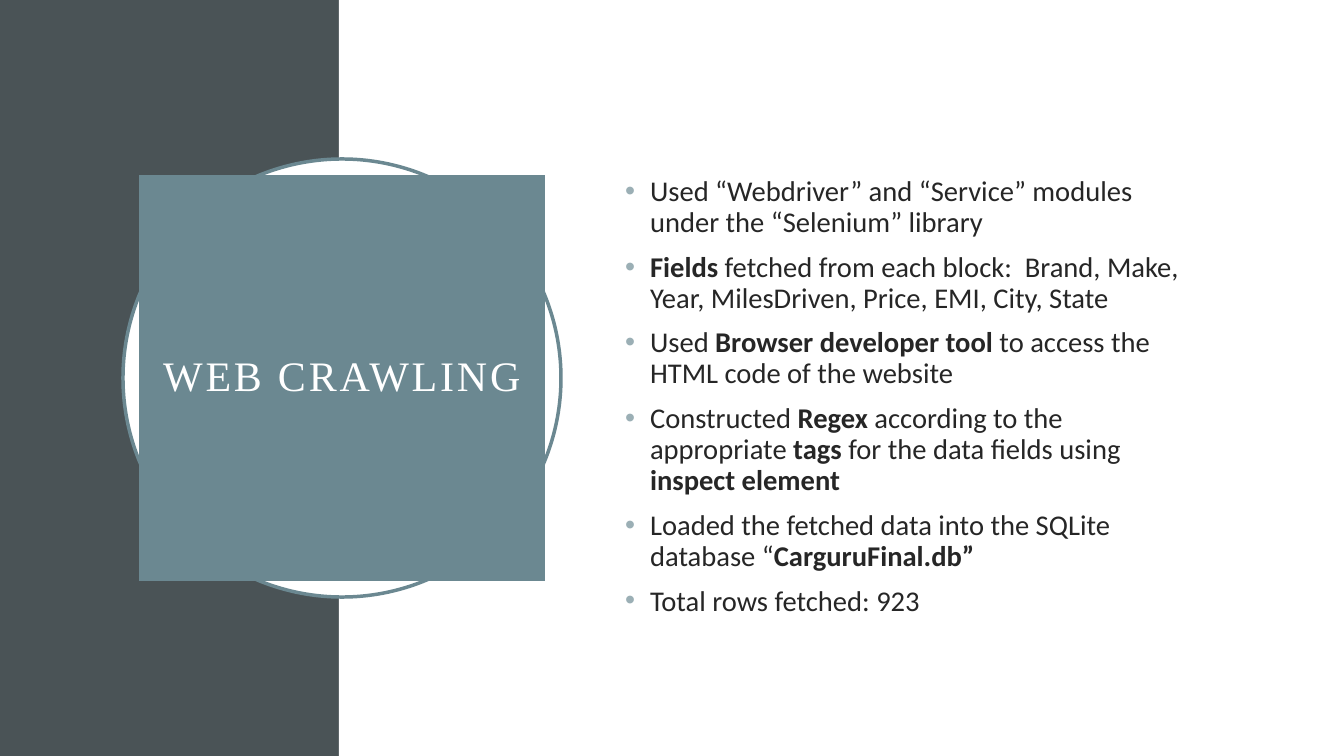
import dataclasses

import lxml.etree
import pptx
import pptx.dml.color
import pptx.enum.shapes
import pptx.enum.text
import pptx.oxml.ns
import pptx.util

EMU_PER_PX = 914400 / 100.8
SLIDE_WIDTH, SLIDE_HEIGHT = 1344, 756
BAND_WIDTH = 339
BULLET_INDENT = 25


@dataclasses.dataclass(frozen=True)
class Theme:
    band: str = "4A5356"
    accent: str = "6B8891"
    bullet: str = "9BAFB5"
    paper: str = "FFFFFF"
    ink: str = "262626"
    title_font: str = "Times New Roman"
    body_font: str = "Calibri"
    title_size: float = 30
    body_size: float = 20.4
    line_spacing: float = 0.9
    paragraph_gap: float = 10
    letter_spacing: float = 2
    ring_width: float = 2.5


def px(length):
    return pptx.util.Emu(round(length * EMU_PER_PX))


def color(value):
    return pptx.dml.color.RGBColor.from_string(value)


def apply(target, values):
    for name, value in values.items():
        setattr(target, name, value)


class SlideBuilder:
    """Draws styled elements on one slide."""

    def __init__(self, slide, theme):
        self.slide = slide
        self.theme = theme

    def panel(self, kind, box, fill, line=None):
        shape = self.slide.shapes.add_shape(kind, *map(px, box))
        shape.shadow.inherit = False
        self.paint(shape, fill)
        if line:
            shape.line.color.rgb = color(line)
            shape.line.width = pptx.util.Pt(self.theme.ring_width)
        else:
            shape.line.fill.background()

    def paint(self, shape, fill):
        shape.fill.solid()
        shape.fill.fore_color.rgb = color(fill)

    def place(self, shape, box, frame_values):
        apply(shape, dict(zip(("left", "top", "width", "height"), map(px, box))))
        apply(shape.text_frame, {
            "word_wrap": True,
            "auto_size": pptx.enum.text.MSO_AUTO_SIZE.NONE,
            "vertical_anchor": pptx.enum.text.MSO_ANCHOR.MIDDLE,
            **frame_values,
        })
        shape.element.getparent().append(shape.element)

    def run(self, paragraph, text, font, size, ink, bold=False):
        run = paragraph.add_run()
        run.text = text
        apply(run.font, {"name": font, "size": pptx.util.Pt(size), "bold": bold})
        run.font.color.rgb = color(ink)
        return run

    def title(self, text, box, inset):
        shape = self.slide.shapes.title
        sides = ("margin_left", "margin_top", "margin_right", "margin_bottom")
        self.place(shape, box, dict.fromkeys(sides, px(inset)))
        self.paint(shape, self.theme.accent)
        paragraph = shape.text_frame.paragraphs[0]
        apply(paragraph, {
            "alignment": pptx.enum.text.PP_ALIGN.CENTER,
            "line_spacing": self.theme.line_spacing,
            "space_before": pptx.util.Pt(0),
        })
        run = self.run(paragraph, text, self.theme.title_font,
                       self.theme.title_size, self.theme.paper)
        run.font._element.set("spc", str(round(self.theme.letter_spacing * 100)))

    def bullet(self, paragraph):
        properties = paragraph._p.get_or_add_pPr()
        properties.set("marL", str(px(BULLET_INDENT)))
        properties.set("indent", str(-px(BULLET_INDENT)))
        tag = pptx.oxml.ns.qn
        bullet_color = lxml.etree.SubElement(properties, tag("a:buClr"))
        lxml.etree.SubElement(bullet_color, tag("a:srgbClr"), val=self.theme.bullet)
        lxml.etree.SubElement(properties, tag("a:buFont"), typeface="Arial")
        lxml.etree.SubElement(properties, tag("a:buChar"), char="•")

    def bullets(self, items, box, bottom_inset):
        shape = self.slide.placeholders[1]
        self.place(shape, box, {"margin_bottom": px(bottom_inset)})
        frame = shape.text_frame
        for index, pieces in enumerate(items):
            paragraph = frame.add_paragraph() if index else frame.paragraphs[0]
            self.bullet(paragraph)
            apply(paragraph, {
                "line_spacing": self.theme.line_spacing,
                "space_before": pptx.util.Pt(self.theme.paragraph_gap if index else 0),
            })
            for text, bold in pieces:
                self.run(paragraph, text, self.theme.body_font,
                         self.theme.body_size, self.theme.ink, bold)


CRAWLING_STEPS = [
    [("Used “Webdriver” and “Service” modules under the “Selenium” library", False)],
    [("Fields", True),
     (" fetched from each block:  Brand, Make, Year, MilesDriven, Price, EMI, City, State",
      False)],
    [("Used ", False), ("Browser developer tool ", True),
     ("to access the HTML code of the website", False)],
    [("Constructed ", False), ("Regex", True),
     (" according to the appropriate ", False), ("tags", True),
     (" for the data fields using ", False), ("inspect element", True)],
    [("Loaded the fetched data into the SQLite database “", False),
     ("CarguruFinal.db”", True)],
    [("Total rows fetched: 923", False)],
]


def main():
    presentation = pptx.Presentation()
    presentation.slide_width = px(SLIDE_WIDTH)
    presentation.slide_height = px(SLIDE_HEIGHT)
    slide = presentation.slides.add_slide(presentation.slide_layouts[1])
    theme = Theme()
    builder = SlideBuilder(slide, theme)
    shapes = pptx.enum.shapes.MSO_SHAPE

    builder.panel(shapes.RECTANGLE, (0, 0, BAND_WIDTH, SLIDE_HEIGHT), theme.band)
    builder.panel(shapes.RECTANGLE,
                  (BAND_WIDTH, 0, SLIDE_WIDTH - BAND_WIDTH, SLIDE_HEIGHT), theme.paper)
    builder.panel(shapes.OVAL, (123, 159, 438, 438), theme.paper, theme.accent)
    builder.title("WEB CRAWLING", (139, 175, 406, 406), inset=20)
    builder.bullets(CRAWLING_STEPS, (615, 126, 591, 570), bottom_inset=33)
    presentation.save("out.pptx")


if __name__ == "__main__":
    main()
